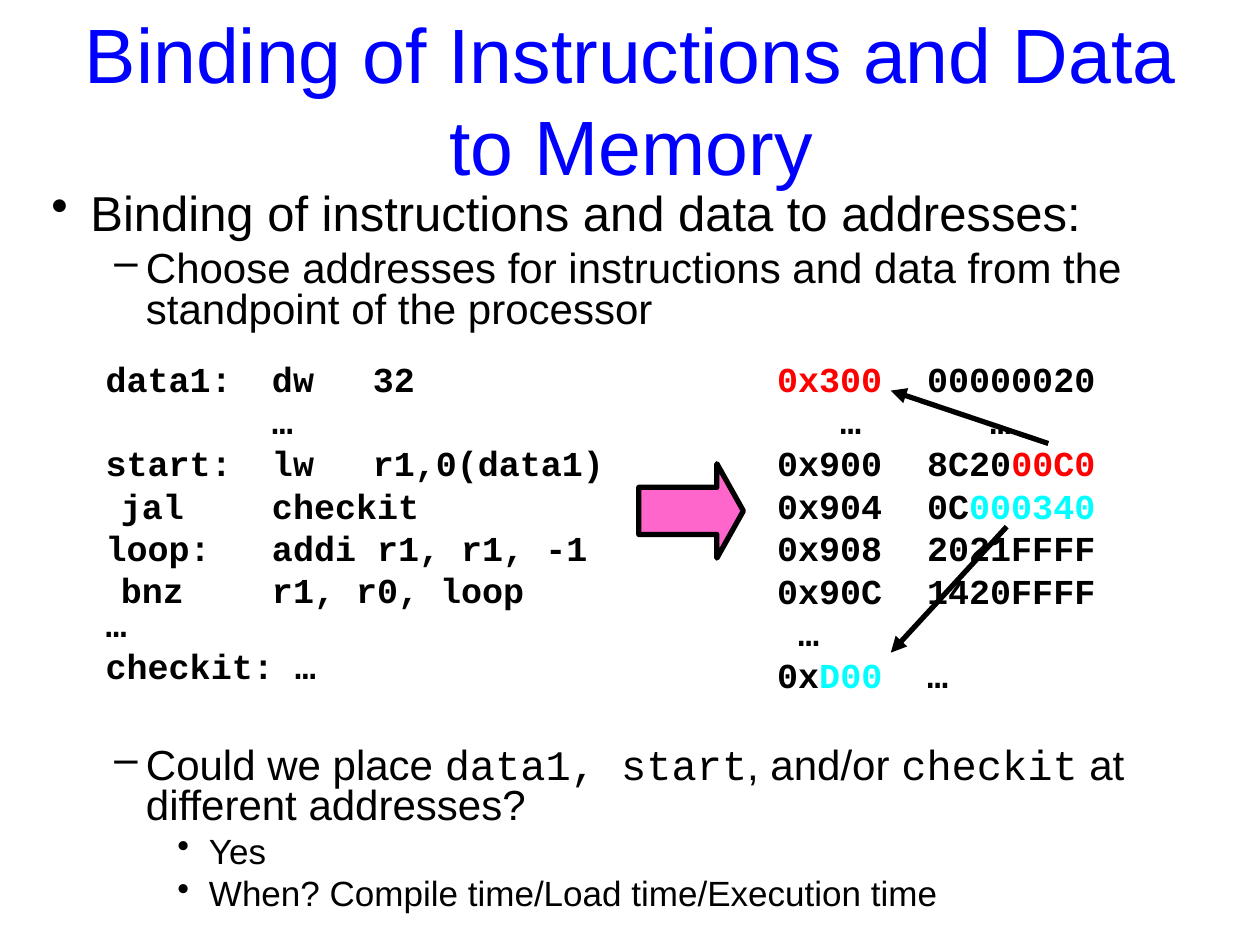
"""Build the slide on binding instructions and data to memory addresses."""
import dataclasses

import pptx
import pptx.dml.color
import pptx.enum.shapes
import pptx.enum.text
import pptx.oxml
import pptx.oxml.ns
import pptx.util
from lxml import etree


@dataclasses.dataclass(frozen=True)
class Theme:
    sans: str = "Arial"
    mono: str = "Courier New"
    blue: str = "0000FF"
    black: str = "000000"
    red: str = "FF0000"
    cyan: str = "00FFFF"
    pink: str = "FF66CC"
    title: int = 44
    code: int = 20
    sizes: tuple = (28, 24, 20)
    before: tuple = (7, 6, 5)
    indents: tuple = (0.31, 0.75, 1.25)
    hangs: tuple = (0.31, 0.25, 0.25)
    marks: tuple = ("•", "–", "•")
    leading: float = 0.8
    stroke: int = 3


class Deck:
    """Style and current slide, measured on a grid of 100 columns by 75 rows."""

    def __init__(self, theme):
        self.theme = theme
        self.prs = pptx.Presentation()
        self.prs.slide_width = pptx.util.Inches(10)
        self.prs.slide_height = pptx.util.Inches(7.5)
        self.slide = self.prs.slides.add_slide(self.prs.slide_layouts[6])

    def grid(self, *cells):
        units = (self.prs.slide_width / 100, self.prs.slide_height / 75)
        return [round(n * units[i % 2]) for i, n in enumerate(cells)]

    def tint(self, color):
        return pptx.dml.color.RGBColor.from_string(color)

    def frame(self, *cells):
        frame = self.slide.shapes.add_textbox(*self.grid(*cells)).text_frame
        frame.word_wrap = True
        return frame

    def fill(self, para, runs, size, face, color, bold=False):
        font = para.font
        font.size, font.bold = pptx.util.Pt(size), bold
        faces = {style.get("face", face) for _, style in runs}
        tints = {style.get("color", color) for _, style in runs}
        if len(faces) == 1:
            font.name = faces.pop()
        if len(tints) == 1:
            font.color.rgb = self.tint(tints.pop())
        for text, style in runs:
            for i, part in enumerate(text.split("\n")):
                if i:
                    para.add_line_break()
                run = para.add_run()
                run.text = part
                if font.name is None:
                    run.font.name = style.get("face", face)
                if font.color.type is None:
                    run.font.color.rgb = self.tint(style.get("color", color))

    def lines(self, frame, count):
        yield frame.paragraphs[0]
        for _ in range(count - 1):
            yield frame.add_paragraph()

    def space(self, para, before):
        para.line_spacing = self.theme.leading
        para.space_before = pptx.util.Pt(before)
        return para._p.get_or_add_pPr()

    def title(self, text, *cells):
        frame = self.frame(*cells)
        frame.vertical_anchor = pptx.enum.text.MSO_ANCHOR.MIDDLE
        para = frame.paragraphs[0]
        para.alignment = pptx.enum.text.PP_ALIGN.CENTER
        look = self.theme
        self.fill(para, [(text, {})], look.title, look.sans, look.blue)

    def list(self, items, *cells):
        look = self.theme
        frame = self.frame(*cells)
        for para, (level, runs) in zip(self.lines(frame, len(items)), items):
            para.level = level
            props = self.space(para, look.before[level])
            props.set("marL", str(pptx.util.Inches(look.indents[level])))
            props.set("indent", str(-pptx.util.Inches(look.hangs[level])))
            mark = etree.SubElement(props, pptx.oxml.ns.qn("a:buChar"))
            mark.set("char", look.marks[level])
            self.fill(para, runs, look.sizes[level], look.sans, look.black)

    def code(self, rows, *cells):
        look = self.theme
        frame = self.frame(*cells)
        for para, (stops, runs) in zip(self.lines(frame, len(rows)), rows):
            props = self.space(para, look.before[2])
            tabs = etree.SubElement(props, pptx.oxml.ns.qn("a:tabLst"))
            for stop in stops:
                tab = etree.SubElement(tabs, pptx.oxml.ns.qn("a:tab"))
                tab.set("pos", str(pptx.util.Inches(stop)))
                tab.set("algn", "l")
            self.fill(para, runs, look.code, look.mono, look.black, True)

    def stroke(self, line):
        line.color.rgb = self.tint(self.theme.black)
        line.width = pptx.util.Pt(self.theme.stroke)

    def block(self, *cells):
        kind = pptx.enum.shapes.MSO_SHAPE.RIGHT_ARROW
        shape = self.slide.shapes.add_shape(kind, *self.grid(*cells))
        shape.adjustments[1] = 0.28
        shape.shadow.inherit = False
        shape.fill.solid()
        shape.fill.fore_color.rgb = self.tint(self.theme.pink)
        self.stroke(shape.line)

    def arrow(self, *ends):
        kind = pptx.enum.shapes.MSO_CONNECTOR.STRAIGHT
        link = self.slide.shapes.add_connector(kind, *self.grid(*ends))
        self.stroke(link.line)
        head = etree.SubElement(link.line._get_or_add_ln(),
                                pptx.oxml.ns.qn("a:tailEnd"))
        head.set("type", "triangle")
        etree.SubElement(link._element.spPr, pptx.oxml.ns.qn("a:effectLst"))


def main():
    look = Theme()
    deck = Deck(look)
    mono, red, cyan = {"face": look.mono}, {"color": look.red}, {"color": look.cyan}

    deck.title("Binding of Instructions and Data to Memory", 5.6, 0, 89, 15.7)
    deck.list([
        (0, [("Binding of instructions and data to addresses:", {})]),
        (1, [("Choose addresses for instructions and data from the "
              "standpoint of the processor", {})]),
    ], 3.1, 14.9, 94.2, 12.5)
    deck.list([
        (1, [("Could we place ", {}), ("data1, start", mono), (", and/or ", {}),
             ("checkit", mono), (" at different addresses?", {})]),
        (2, [("Yes", {})]),
        (2, [("When? Compile time/Load time/Execution time", {})]),
    ], 3.1, 58.9, 94.2, 14)

    deck.block(50.7, 36.8, 8.3, 7.5)

    source = ["data1:\tdw\t32", "\t\t…", "start:\tlw\tr1,0(data1)",
              "\tjal\tcheckit", "loop:\taddi r1, r1, -1",
              "\tbnz\tr1, r0, loop\n…", "checkit: …"]
    stops = (0.12, 1.32, 2.12)
    deck.code([(stops, [(row, {})]) for row in source], 7.4, 28.5, 45.8, 26.5)

    wide, inner = (0.12, 1.19), (0.5, 1.69)
    deck.code([
        (wide, [("0x300", red), ("\t00000020", {})]),
        (inner, [("\t…\t…", {})]),
        (wide, [("0x900\t8C20", {}), ("00C0", red)]),
        (wide, [("0x904\t0C", {}), ("000340", cyan)]),
        (wide, [("0x908\t2021FFFF", {})]),
        (wide, [("0x90C\t1420FFFF", {})]),
        (wide, [(" …", {})]),
        (wide, [("0x", {}), ("D00", cyan), ("\t…", {})]),
    ], 60.7, 28.5, 31.7, 27.2)

    deck.arrow(79.9, 41.8, 70.7, 51.8)
    deck.arrow(83.2, 35.2, 70.7, 31)
    deck.prs.save("out.pptx")


if __name__ == "__main__":
    main()
